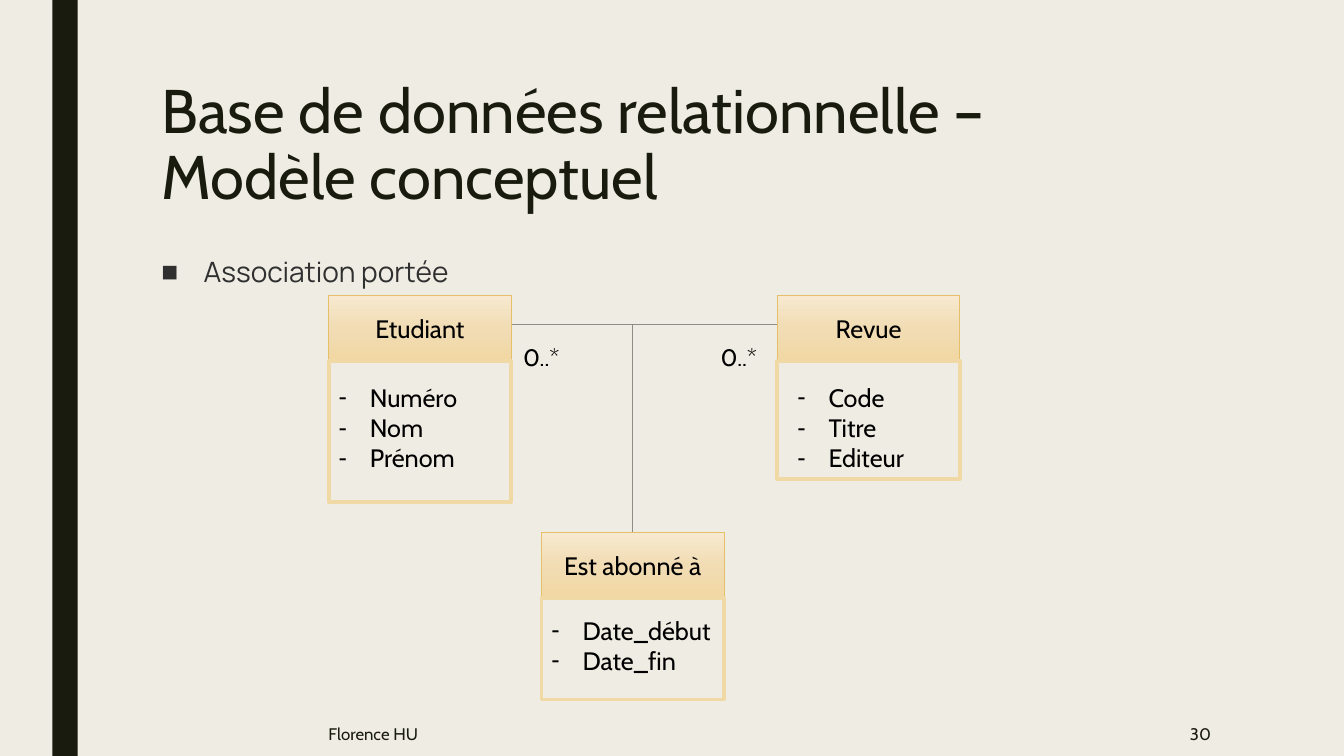
from copy import deepcopy

from lxml import etree
from pptx import Presentation
from pptx.dml.color import RGBColor
from pptx.enum.shapes import MSO_CONNECTOR, MSO_SHAPE
from pptx.enum.text import MSO_ANCHOR, MSO_AUTO_SIZE, PP_ALIGN
from pptx.oxml.ns import qn
from pptx.util import Inches, Pt

RECTANGLE = MSO_SHAPE.RECTANGLE
STRAIGHT = MSO_CONNECTOR.STRAIGHT
TOP, MIDDLE = MSO_ANCHOR.TOP, MSO_ANCHOR.MIDDLE
LEFT, CENTER, RIGHT = PP_ALIGN.LEFT, PP_ALIGN.CENTER, PP_ALIGN.RIGHT

COLORS = {
    "background": "EFEDE3", "ink": "191B0E", "body": "303030", "black": "000000",
    "link": "8C8D86", "header_line": "E6C069", "frame": "F0D9A5",
}
HEADER_GRADIENT = [(0, "F7E9D0"), (0.5, "F1DCB4"), (1, "F1D7A3")]
FONT, BODY_FONT = "Cabin", "Manrope"

SLIDE_WIDTH, SLIDE_HEIGHT = 13.33, 7.5
CONTENT_LEFT, CONTENT_WIDTH = 1.5, 10.5
ENTITY_WIDTH, HEADER_HEIGHT = 1.81, 0.65
ENTITY_TOP, ASSOCIATION_TOP = 2.93, 5.28
STUDENT_LEFT, REVIEW_LEFT, ASSOCIATION_LEFT = 3.26, 7.71, 5.37
LINK_TOP = 3.22


def color(name):
    return RGBColor.from_string(COLORS[name])


def inches(*lengths):
    return [Inches(length) for length in lengths]


def format_text(shape, size, font=FONT, ink="black", align=LEFT, anchor=TOP):
    frame = shape.text_frame
    frame.word_wrap = True
    frame.auto_size = MSO_AUTO_SIZE.NONE
    frame.vertical_anchor = anchor
    for paragraph in frame.paragraphs:
        paragraph.alignment = align
        for run in paragraph.runs:
            run.font.size = Pt(size)
            run.font.name = font
            run.font.color.rgb = color(ink)


def set_bullet(paragraph, character, indent):
    properties = paragraph._p.get_or_add_pPr()
    properties.set("marL", str(Inches(indent)))
    properties.set("indent", str(-Inches(indent)))
    etree.SubElement(properties, qn("a:buFont")).set("typeface", "Arial")
    etree.SubElement(properties, qn("a:buChar")).set("char", character)


def add_text(slide, box, text, size, **style):
    text_box = slide.shapes.add_textbox(*inches(*box))
    text_box.text_frame.text = text
    format_text(text_box, size, **style)
    return text_box


def add_rectangle(slide, box):
    shape = slide.shapes.add_shape(RECTANGLE, *inches(*box))
    shape.shadow.inherit = False
    return shape


def add_link(slide, start, end):
    link = slide.shapes.add_connector(STRAIGHT, *inches(*start, *end))
    link.line.color.rgb = color("link")
    link.line.width = Pt(0.5)
    etree.SubElement(link._element.spPr, qn("a:effectLst"))


def fill_header(shape):
    shape.fill.gradient()
    shape.fill.gradient_angle = 270
    stop_list = shape._element.spPr.find(qn("a:gradFill")).find(qn("a:gsLst"))
    stop_list.insert(1, deepcopy(stop_list[0]))
    for stop, (position, value) in zip(shape.fill.gradient_stops, HEADER_GRADIENT):
        stop.position = position
        stop.color.rgb = RGBColor.from_string(value)


def add_entity(slide, box, name, attributes, text_offset, text_width):
    left, top, width, height = box
    body_top = top + HEADER_HEIGHT

    # Name band
    header = add_rectangle(slide, (left, top, width, HEADER_HEIGHT))
    fill_header(header)
    header.line.color.rgb = color("header_line")
    header.line.width = Pt(0.5)
    header.text_frame.text = name
    format_text(header, 18, align=CENTER, anchor=MIDDLE)

    # Attribute frame
    frame = add_rectangle(slide, (left, body_top, width, height - HEADER_HEIGHT))
    frame.fill.background()
    frame.line.color.rgb = color("frame")
    frame.line.width = Pt(2.75)

    # Attribute list
    offset_x, offset_y = text_offset
    text_area = (left + offset_x, body_top + offset_y, text_width, 1.01)
    attribute_list = add_text(slide, text_area, "\n".join(attributes), 18)
    for paragraph in attribute_list.text_frame.paragraphs:
        set_bullet(paragraph, "-", 0.31)


def add_frame(slide):
    slide.background.fill.solid()
    slide.background.fill.fore_color.rgb = color("background")

    # Side band
    band = add_rectangle(slide, (0.52, 0, 0.25, SLIDE_HEIGHT))
    band.fill.solid()
    band.fill.fore_color.rgb = color("ink")
    band.line.fill.background()

    # Footer
    add_text(slide, (3.16, 7.06, 6.87, 0.44), "Florence HU", 12, ink="ink", anchor=MIDDLE)
    add_text(slide, (10.36, 7.06, 1.75, 0.44), "30", 12, ink="ink", align=RIGHT, anchor=MIDDLE)


def place(shape, box):
    shape.left, shape.top, shape.width, shape.height = inches(*box)


def fill_placeholders(slide):
    title, body = slide.shapes.title, slide.placeholders[1]

    place(title, (CONTENT_LEFT, 0.75, CONTENT_WIDTH, 1.62))
    title.text_frame.text = "Base de données relationnelle –\vModèle conceptuel"
    format_text(title, 44, ink="ink")
    title.text_frame.paragraphs[0].line_spacing = 0.89

    place(body, (CONTENT_LEFT, 2.5, CONTENT_WIDTH, 3.92))
    body.text_frame.text = "Association portée"
    format_text(body, 20, font=BODY_FONT, ink="body")
    paragraph = body.text_frame.paragraphs[0]
    paragraph.line_spacing = 0.94
    paragraph.space_before, paragraph.space_after = Pt(10), Pt(2)
    set_bullet(paragraph, "■", 0.42)


def add_diagram(slide):
    # Links and cardinalities
    middle = ASSOCIATION_LEFT + ENTITY_WIDTH / 2
    add_link(slide, (STUDENT_LEFT + ENTITY_WIDTH, LINK_TOP), (REVIEW_LEFT, LINK_TOP))
    add_link(slide, (middle, LINK_TOP), (middle, ASSOCIATION_TOP))
    for left in (5.09, 7.05):
        add_text(slide, (left, 3.35, 0.7, 0.39), "0..*", 17)

    # Entities and the association class
    add_entity(slide, (STUDENT_LEFT, ENTITY_TOP, ENTITY_WIDTH, 2.05),
               "Etudiant", ["Numéro", "Nom", "Prénom"], (0, 0.16), 1.67)
    add_entity(slide, (REVIEW_LEFT, ENTITY_TOP, ENTITY_WIDTH, 1.82),
               "Revue", ["Code", "Titre", "Editeur"], (0.1, 0.16), 1.67)
    add_entity(slide, (ASSOCIATION_LEFT, ASSOCIATION_TOP, ENTITY_WIDTH, 1.66),
               "Est abonné à", ["Date_début", "Date_fin"], (0, 0.12), ENTITY_WIDTH)


def main():
    presentation = Presentation()
    presentation.slide_width, presentation.slide_height = inches(SLIDE_WIDTH, SLIDE_HEIGHT)
    slide = presentation.slides.add_slide(presentation.slide_layouts[1])
    add_frame(slide)
    fill_placeholders(slide)
    add_diagram(slide)
    presentation.save("out.pptx")


if __name__ == "__main__":
    main()
